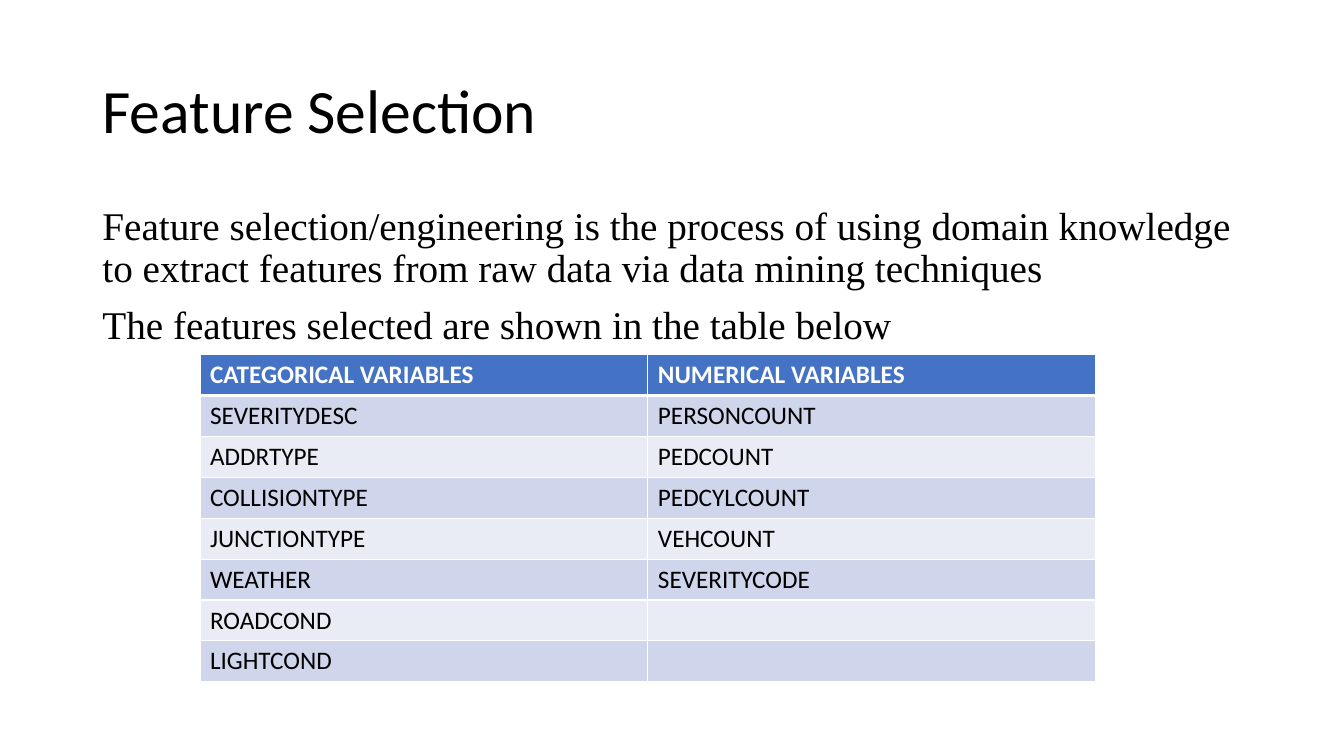
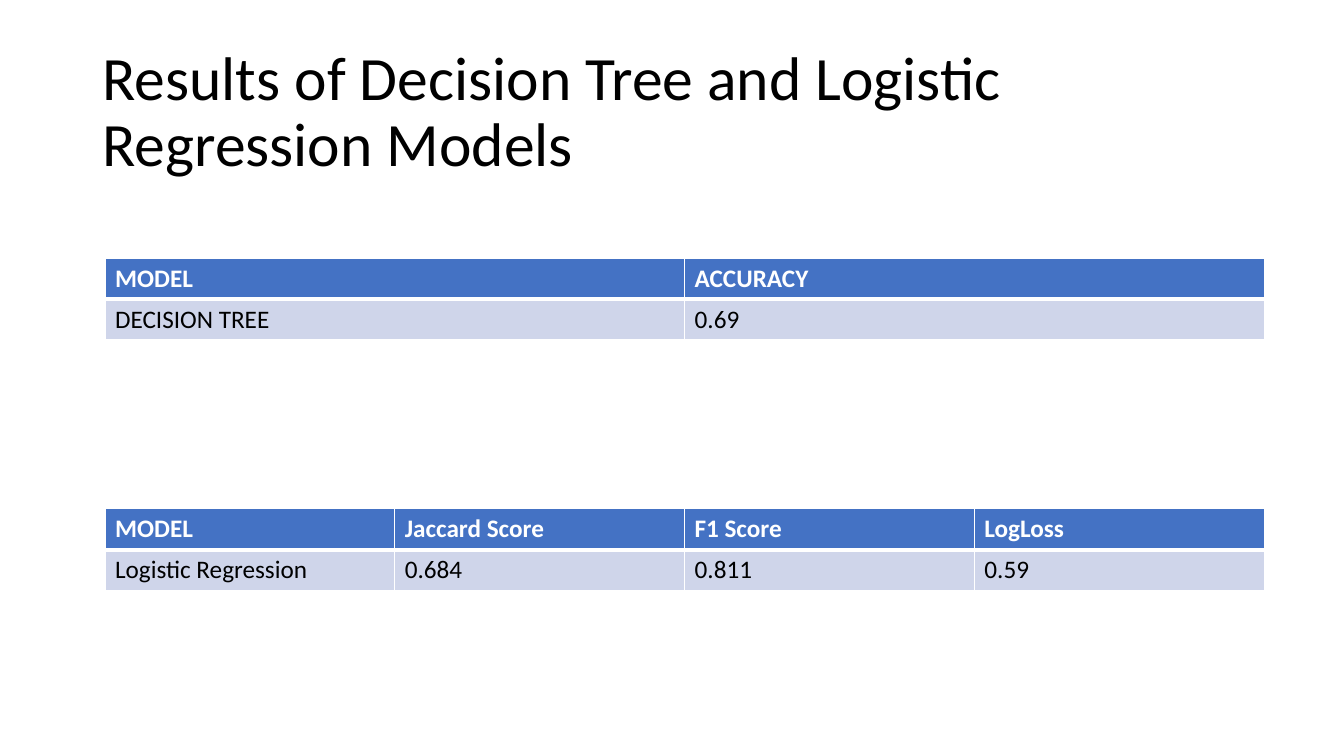
"""Build two slides on feature selection and model results."""
from lxml import etree
from pptx import Presentation
from pptx.dml.color import RGBColor
from pptx.enum.text import MSO_ANCHOR, MSO_AUTO_SIZE, PP_ALIGN
from pptx.oxml.ns import qn
from pptx.util import Pt

LEFT = PP_ALIGN.LEFT
MIDDLE = MSO_ANCHOR.MIDDLE
NO_AUTOFIT = MSO_AUTO_SIZE.NONE

BLACK = RGBColor(0x00, 0x00, 0x00)
WHITE = RGBColor(0xFF, 0xFF, 0xFF)
HEADER_BLUE = RGBColor(0x44, 0x72, 0xC4)
BAND_DARK = RGBColor(0xCF, 0xD5, 0xEA)
BAND_LIGHT = RGBColor(0xE9, 0xEB, 0xF5)

SANS = "Calibri"
SERIF = "Times New Roman"
ROW_HEIGHT = 29.2
TITLE_LAYOUT = 5
CONTENT_LAYOUT = 1


def write(frame, *lines, size=18, font=SANS, color=BLACK, bold=False,
          line_spacing=1.0, space_before=0):
    """Fill a text frame with one unbulleted paragraph per line."""
    for index, line in enumerate(lines):
        paragraph = frame.add_paragraph() if index else frame.paragraphs[0]
        paragraph.alignment = LEFT
        paragraph.line_spacing = line_spacing
        paragraph.space_before = Pt(space_before)
        properties = paragraph._p.get_or_add_pPr()
        properties.set("marL", "0")
        properties.set("indent", "0")
        etree.SubElement(properties, qn("a:buNone"))
        run = paragraph.add_run()
        run.text = line
        run.font.size = Pt(size)
        run.font.name = font
        run.font.color.rgb = color
        run.font.bold = bold


def add_banded_table(slide, left, top, width, rows):
    """Add a table with a blue header, banded rows and white borders."""
    column_count = len(rows[0])
    table = slide.shapes.add_table(
        len(rows), column_count, Pt(left), Pt(top), Pt(width),
        Pt(ROW_HEIGHT * len(rows))).table
    for column in table.columns:
        column.width = Pt(width / column_count)
    for row_index, values in enumerate(rows):
        table.rows[row_index].height = Pt(ROW_HEIGHT)
        is_header = row_index == 0
        band = BAND_DARK if row_index % 2 else BAND_LIGHT
        borders = {"lnL": 1, "lnR": 1, "lnT": 3 if row_index == 1 else 1,
                   "lnB": 3 if is_header else 1}
        for column_index, value in enumerate(values):
            cell = table.cell(row_index, column_index)
            properties = cell._tc.get_or_add_tcPr()
            for side, points in borders.items():
                border = etree.SubElement(properties, qn(f"a:{side}"), w=str(Pt(points)))
                border_fill = etree.SubElement(border, qn("a:solidFill"))
                etree.SubElement(border_fill, qn("a:srgbClr"), val=str(WHITE))
            cell.fill.solid()
            cell.fill.fore_color.rgb = HEADER_BLUE if is_header else band
            if value:
                write(cell.text_frame, value, bold=is_header,
                      color=WHITE if is_header else BLACK)


SLIDES = [
    {
        "title": "Feature Selection",
        "body": [
            "Feature selection/engineering is the process of using domain knowledge "
            "to extract features from raw data via data mining techniques",
            "The features selected are shown in the table below",
        ],
        "tables": [(142.8, 253.4, 640, [
            ("CATEGORICAL VARIABLES", "NUMERICAL VARIABLES"),
            ("SEVERITYDESC", "PERSONCOUNT"),
            ("ADDRTYPE", "PEDCOUNT"),
            ("COLLISIONTYPE", "PEDCYLCOUNT"),
            ("JUNCTIONTYPE", "VEHCOUNT"),
            ("WEATHER", "SEVERITYCODE"),
            ("ROADCOND", ""),
            ("LIGHTCOND", ""),
        ])],
    },
    {
        "title": "Results of Decision Tree and Logistic Regression Models",
        "body": [],
        "tables": [
            (75, 184.5, 828, [
                ("MODEL", "ACCURACY"),
                ("DECISION TREE", "0.69"),
            ]),
            (75, 363.5, 828, [
                ("MODEL", "Jaccard Score", "F1 Score", "LogLoss"),
                ("Logistic Regression", "0.684", "0.811", "0.59"),
            ]),
        ],
    },
]

presentation = Presentation()
presentation.slide_width = Pt(960)
presentation.slide_height = Pt(540)

for content in SLIDES:
    layout = CONTENT_LAYOUT if content["body"] else TITLE_LAYOUT
    slide = presentation.slides.add_slide(presentation.slide_layouts[layout])

    title = slide.shapes.title
    title.left, title.top, title.width, title.height = Pt(66), Pt(28.8), Pt(828), Pt(104.4)
    title.text_frame.auto_size = NO_AUTOFIT
    title.text_frame.vertical_anchor = MIDDLE
    write(title.text_frame, content["title"], size=44, line_spacing=0.9)

    if content["body"]:
        body = slide.placeholders[1]
        body.left, body.top, body.width, body.height = Pt(66), Pt(144), Pt(828), Pt(342.7)
        body.text_frame.auto_size = NO_AUTOFIT
        write(body.text_frame, *content["body"], size=28, font=SERIF,
              line_spacing=0.9, space_before=10)

    for left, top, width, rows in content["tables"]:
        add_banded_table(slide, left, top, width, rows)

presentation.save("out.pptx")
